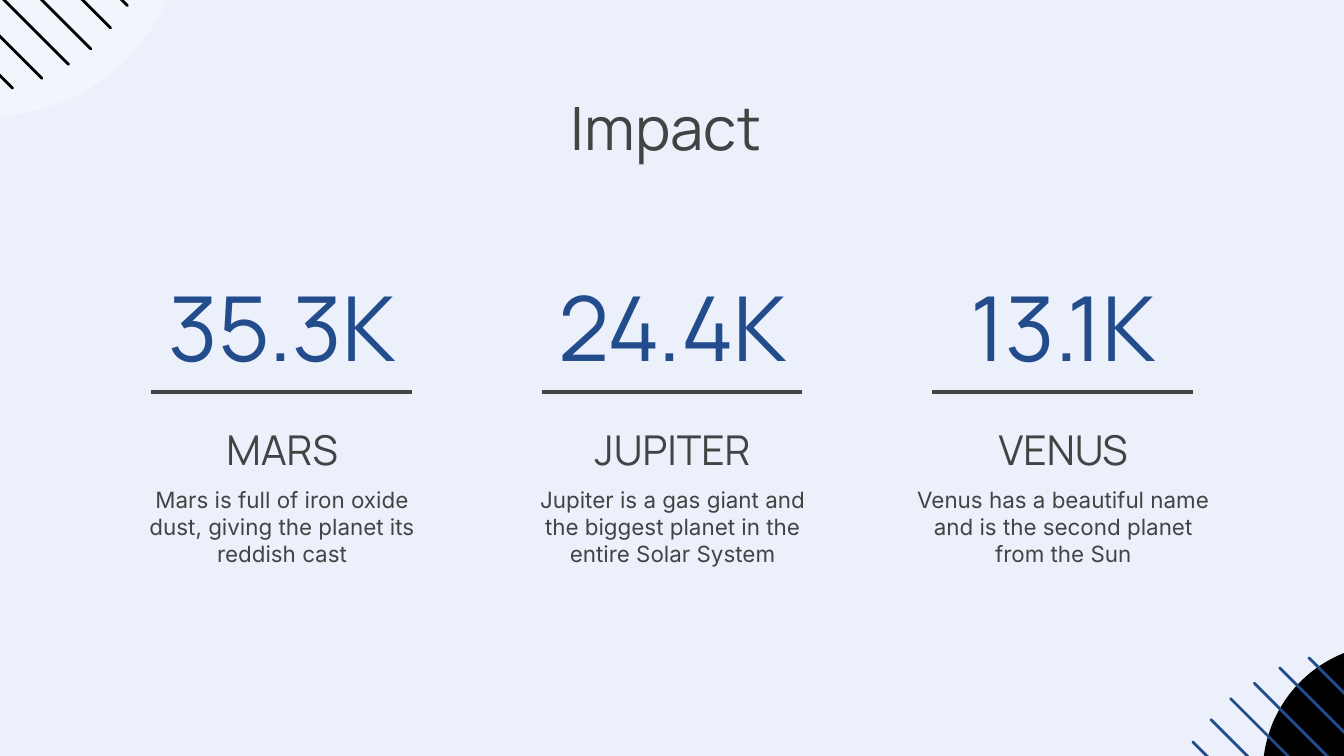
from pptx import Presentation
from pptx.dml.color import RGBColor
from pptx.enum.shapes import MSO_CONNECTOR, MSO_SHAPE
from pptx.enum.text import MSO_ANCHOR, MSO_AUTO_SIZE, PP_ALIGN
from pptx.oxml.ns import qn
from pptx.util import Pt
from lxml.etree import SubElement

PX = 9525  # 96 px to the inch
PALE = RGBColor(0xEB, 0xF0, 0xFA)
WHITE = RGBColor(0xFF, 0xFF, 0xFF)
BLACK = RGBColor(0, 0, 0)
BLUE = RGBColor(0x23, 0x4C, 0x8C)
GREY = RGBColor(0x43, 0x43, 0x43)

INSET = 91440
FRAME = {
    "word_wrap": True, "auto_size": MSO_AUTO_SIZE.NONE,
    "margin_left": INSET, "margin_right": INSET,
    "margin_top": INSET, "margin_bottom": INSET,
}


def write(shape, box, text, font, size, color, anchor):
    """Place a text shape and fill it with one centred paragraph."""
    shape.left, shape.top, shape.width, shape.height = [n * PX for n in box]
    frame = shape.text_frame
    for key, value in FRAME.items():
        setattr(frame, key, value)
    frame.vertical_anchor = anchor
    para = frame.paragraphs[0]
    para.alignment = PP_ALIGN.CENTER
    run = para.add_run()
    run.text = text
    for key, value in {"name": font, "size": Pt(size), "bold": False}.items():
        setattr(run.font, key, value)
    run.font.color.rgb = color


def draw(start, end, color, width, cap="flat"):
    """Add a straight line without a shadow."""
    ends = [n * PX for n in (*start, *end)]
    line = slide.shapes.add_connector(MSO_CONNECTOR.STRAIGHT, *ends)
    line.line.color.rgb = color
    line.line.width = Pt(width)
    props = line.element.spPr
    props.find(qn("a:ln")).set("cap", cap)
    SubElement(props, qn("a:effectLst"))


deck = Presentation()
deck.slide_width, deck.slide_height = 960 * PX, 540 * PX
slide = deck.slides.add_slide(deck.slide_layouts[5])
slide.background.fill.solid()
slide.background.fill.fore_color.rgb = PALE

# Corner discs with diagonal stripes: tip of each stripe and its run
# along both axes, out past the corner of the slide
corners = [
    ((-145, -190, 275, 273), WHITE, 36, BLACK, -1,
     [(91, 4, 187), (79, 20, 194), (65, 35, 185),
      (49, 46, 186), (30, 56, 178), (9, 63, 164)]),
    ((902, 460, 184, 184), BLACK, 100, BLUE, 1,
     [(852, 530, 187), (865, 514, 196), (879, 499, 191),
      (896, 488, 187), (914, 477, 179), (935, 470, 164)]),
]
for box, fill, alpha, color, way, tips in corners:
    disc = slide.shapes.add_shape(MSO_SHAPE.OVAL, *[n * PX for n in box])
    disc.shadow.inherit = False
    disc.line.fill.background()
    disc.fill.solid()
    disc.fill.fore_color.rgb = fill
    if alpha < 100:
        tint = disc.element.spPr.find(qn("a:solidFill"))[0]
        SubElement(tint, qn("a:alpha"), val=str(alpha * 1000))
    for x, y, run in tips:
        draw((x, y), (x + way * run, y + way * run), color, 1.5, "rnd")

write(slide.shapes.title, (75, 55, 810, 74), "Impact ",
      "Manrope", 32, GREY, MSO_ANCHOR.TOP)

# Three figures side by side
LEFT, STEP, WIDE = 84, 279, 235
RULE = 186
rows = [
    (184, 97, "Manrope", 48, BLUE, MSO_ANCHOR.MIDDLE),
    (289, 59, "Manrope", 22, GREY, MSO_ANCHOR.BOTTOM),
    (338, 74, "Inter", 12, GREY, MSO_ANCHOR.TOP),
]
stats = [
    ("35.3K", "MARS",
     "Mars is full of iron oxide dust, giving the planet its reddish cast"),
    ("24.4K", "JUPITER",
     "Jupiter is a gas giant and the biggest planet in the entire Solar System"),
    ("13.1K", "VENUS",
     "Venus has a beautiful name and is the second planet from the Sun"),
]
for col, texts in enumerate(stats):
    left = LEFT + col * STEP
    for text, (top, high, *style) in zip(texts, rows):
        box = slide.shapes.add_textbox(0, 0, 0, 0)
        write(box, (left, top, WIDE, high), text, *style)
    start = left + (WIDE - RULE) // 2
    draw((start, 280), (start + RULE, 280), GREY, 2.25)

deck.save("out.pptx")
